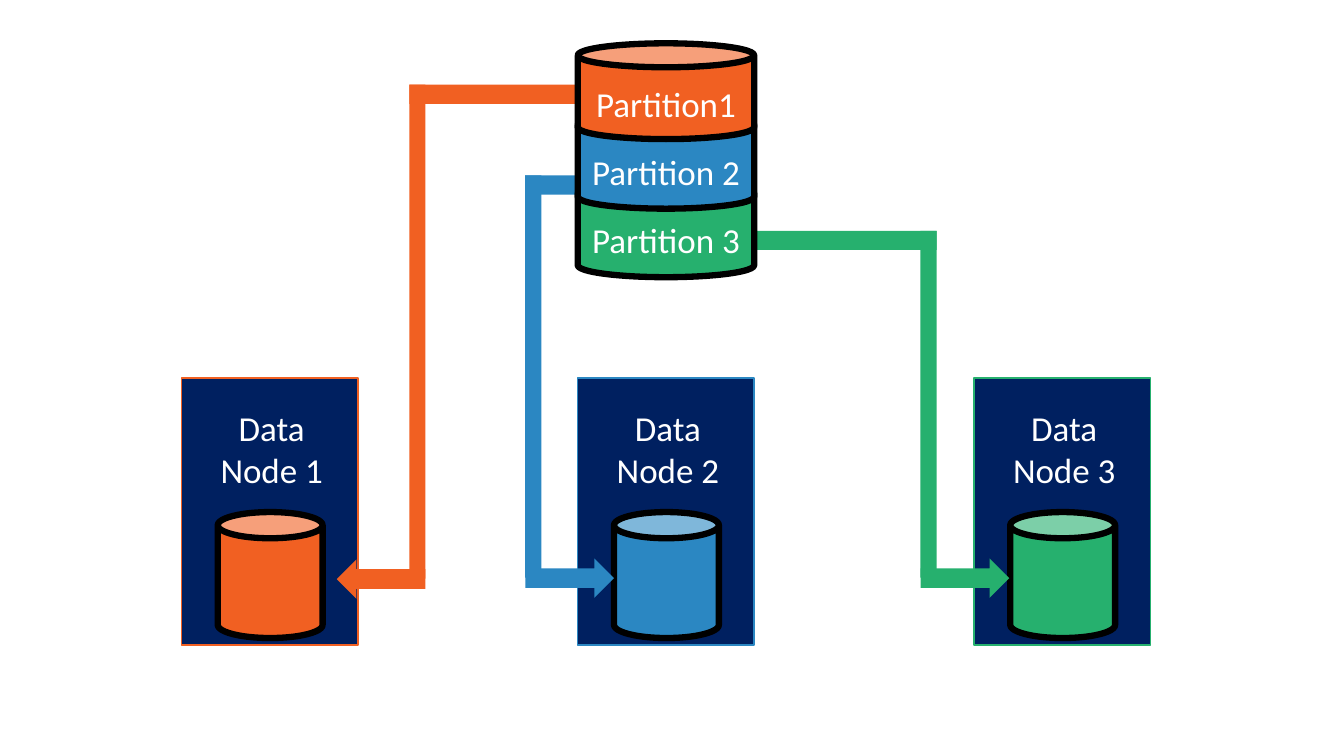
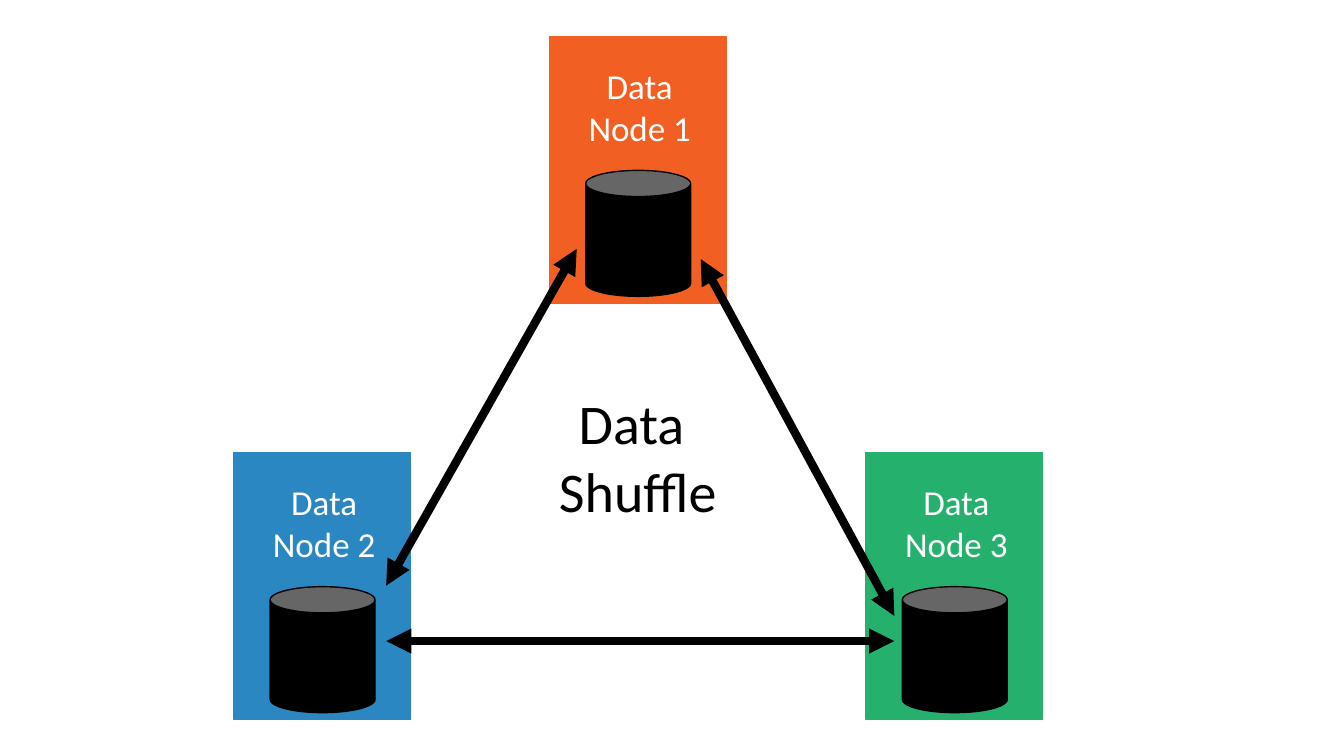
from lxml import etree
from pptx import Presentation
from pptx import util as u
from pptx.dml.color import RGBColor
from pptx.enum import shapes, text
from pptx.oxml.ns import qn

SCALE = 9144  # EMU per px, 100 px to the inch
ORANGE, BLUE, GREEN = "F16022", "2B87C2", "26B06E"
NAVY, BLACK, WHITE = "002060", "000000", "FFFFFF"
NODE_WIDTH, NODE_HEIGHT = 175, 265
SHAPE = shapes.MSO_SHAPE


def px(value):
    return u.Emu(value * SCALE)


def rgb(code):
    return RGBColor.from_string(code)


def write(box, words, size=25, color=WHITE, font="Calibri"):
    frame = box.text_frame
    frame.word_wrap = False
    para = frame.paragraphs[0]
    para.text = words
    para.alignment = text.PP_ALIGN.CENTER
    for span in para.runs:
        span.font.name = font
        span.font.size = u.Pt(size)
        span.font.color.rgb = rgb(color)


class Sketch:
    """Holds the deck, the current page and the shared drawing style."""

    def __init__(self, deck):
        self.deck = deck
        self.canvas = None

    def page(self):
        self.canvas = self.deck.slides.add_slide(self.deck.slide_layouts[6]).shapes

    def shape(self, kind, x, y, width, height, fill, line=None, weight=1, canvas=None):
        target = self.canvas if canvas is None else canvas
        item = target.add_shape(kind, px(x), px(y), px(width), px(height))
        item.shadow.inherit = False
        item.fill.solid()
        item.fill.fore_color.rgb = rgb(fill)
        if line:
            item.line.color.rgb = rgb(line)
            item.line.width = u.Pt(weight)
        else:
            item.line.fill.background()

    def label(self, words, x, y, width, height, canvas=None, **style):
        target = self.canvas if canvas is None else canvas
        box = target.add_textbox(px(x), px(y), px(width), px(height))
        write(box, words, **style)

    def node(self, number, x, y, fill, line, can, weight):
        group = self.canvas.add_group_shape().shapes
        self.shape(SHAPE.RECTANGLE, x, y, NODE_WIDTH, NODE_HEIGHT, fill, line, canvas=group)
        self.label(f"Data\nNode {number}", x + 28, y + 23, 123, 94, canvas=group)
        self.shape(SHAPE.CAN, x + 36, y + 133, 104, 125, can, BLACK, weight, canvas=group)

    def route(self, color, start, top, lane, arrow_top, to_left=False):
        """Bar out of a partition, a vertical lane, and an arrow into a node."""
        lane_width, arrow_length, arrow_height = 16, 88, 39
        left, right = min(start, lane), max(start, lane + lane_width)
        middle = arrow_top + arrow_height // 2
        self.shape(SHAPE.RECTANGLE, left, top, right - left, 19, color)
        self.shape(SHAPE.RECTANGLE, lane, top, lane_width, middle - top, color)
        kind = SHAPE.LEFT_ARROW if to_left else SHAPE.RIGHT_ARROW
        tail = lane + lane_width - arrow_length if to_left else lane
        self.shape(kind, tail, arrow_top, arrow_length, arrow_height, color)

    def double_arrow(self, start, end):
        link = self.canvas.add_connector(
            shapes.MSO_CONNECTOR.STRAIGHT, *map(px, start + end))
        link.line.color.rgb = rgb(BLACK)
        link.line.width = u.Pt(6)
        outline = link.line._get_or_add_ln()
        for end_tag in ("a:headEnd", "a:tailEnd"):
            etree.SubElement(outline, qn(end_tag), type="triangle")
        etree.SubElement(link._element.spPr, qn("a:effectLst"))


def partition_page(sketch):
    sketch.page()
    # Data nodes, evenly spaced
    for index, color in enumerate((ORANGE, BLUE, GREEN)):
        sketch.node(index + 1, 180 + 393 * index, 375, NAVY, color, color, 4.5)
    # Routes from partitions to nodes
    sketch.route(ORANGE, 573, 84, 406, 555, to_left=True)
    sketch.route(BLUE, 577, 174, 521, 554)
    sketch.route(GREEN, 741, 229, 913, 554)
    # Stacked partitions, lowest first
    for words, color, top, label_top in (
            ("Partition 3", GREEN, 180, 212),
            ("Partition 2", BLUE, 112, 144),
            ("Partition1", ORANGE, 43, 77)):
        sketch.shape(SHAPE.CAN, 573, top, NODE_WIDTH, 95, color, BLACK, 4.5)
        sketch.label(words, 576, label_top, 169, 52)


def shuffle_page(sketch):
    sketch.page()
    # Data nodes at the corners of a triangle
    for number, x, y, color in ((2, 232, 449, BLUE), (1, 545, 36, ORANGE),
                                (3, 859, 449, GREEN)):
        sketch.node(number, x, y, color, color, BLACK, 1)
    # Exchange between the nodes
    sketch.label("Data \nShuffle", 543, 381, 179, 145, size=40, color=BLACK)
    for start, end in (((383, 581), (572, 247)), ((695, 257), (887, 611)),
                       ((383, 636), (887, 636))):
        sketch.double_arrow(start, end)


def main():
    deck = Presentation()
    deck.slide_width, deck.slide_height = u.Inches(13.33), u.Inches(7.5)
    sketch = Sketch(deck)
    partition_page(sketch)
    shuffle_page(sketch)
    deck.save("out.pptx")


if __name__ == "__main__":
    main()
